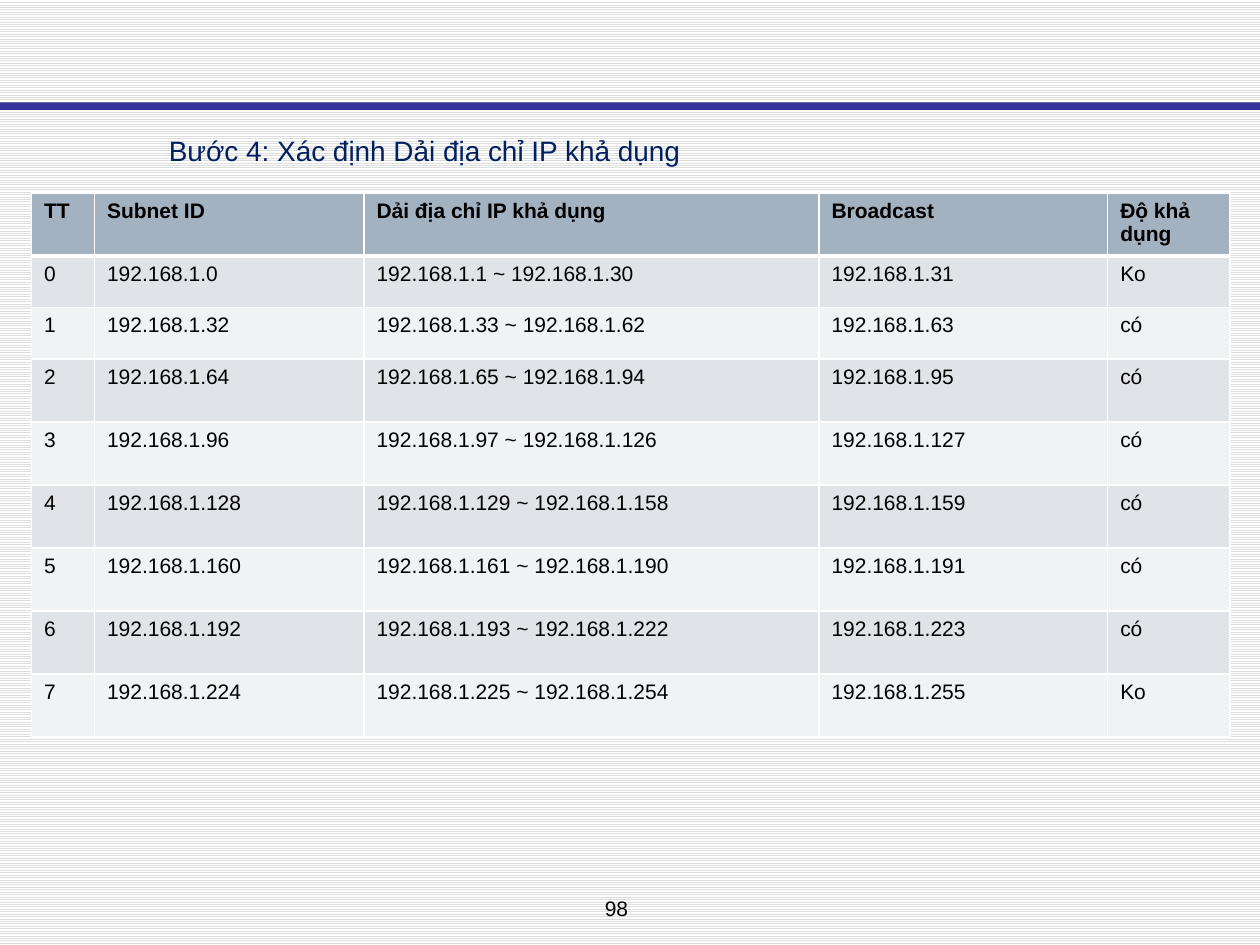
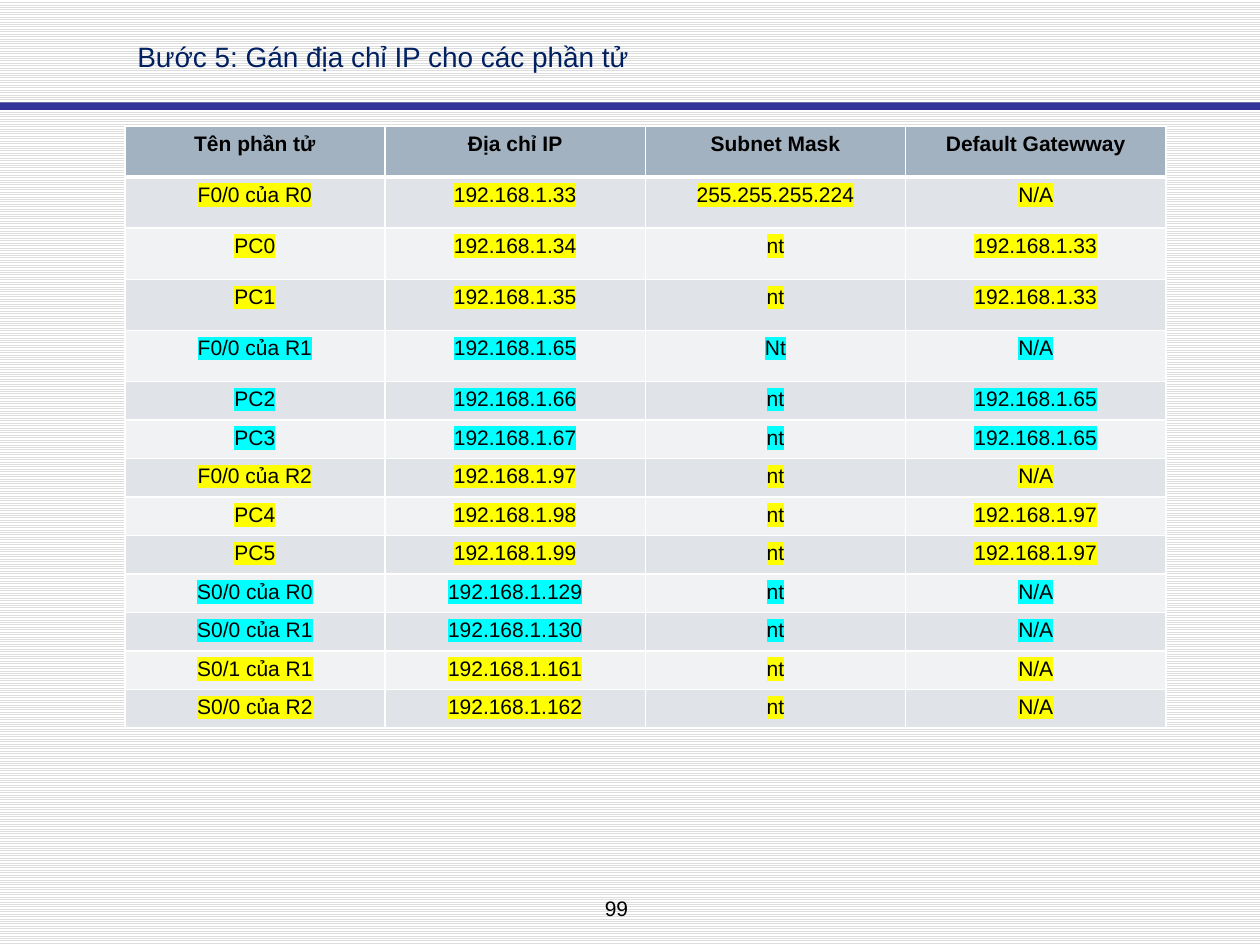
from lxml.etree import SubElement
from pptx import Presentation
from pptx.dml.color import RGBColor
from pptx.enum.dml import MSO_PATTERN
from pptx.enum.shapes import MSO_SHAPE as Shape
from pptx.enum.text import MSO_ANCHOR as Anchor, MSO_AUTO_SIZE as AutoSize, PP_ALIGN as Align
from pptx.oxml.ns import qn
from pptx.util import Pt

# Shared look
FONT = "Arial"
BLACK, WHITE, NAVY, BAND = "000000", "FFFFFF", "002060", "333399"
STRIPE = "DDDDDD"
HEADER_FILL = "A3B2C1"
ROW_FILLS = ("E0E4E9", "F0F2F4")
YELLOW, CYAN = "FFFF00", "00FFFF"
TITLE_ONLY = 5

NETWORK = "192.168.1."
SUBNET_SIZE = 32

SUBNET_HEADER = ["TT", "Subnet ID", "Dải địa chỉ IP khả dụng", "Broadcast", "Độ khả dụng"]

DEVICE_HEADER = ["Tên phần tử", "Địa chỉ IP", "Subnet Mask", "Default Gatewway"]
# Each subnet: highlight, then (device, host, mask, gateway host)
DEVICE_GROUPS = [
    (YELLOW, [("F0/0 của R0", 33, "255.255.255.224", None), ("PC0", 34, "nt", 33), ("PC1", 35, "nt", 33)]),
    (CYAN, [("F0/0 của R1", 65, "Nt", None), ("PC2", 66, "nt", 65), ("PC3", 67, "nt", 65)]),
    (YELLOW, [("F0/0 của R2", 97, "nt", None), ("PC4", 98, "nt", 97), ("PC5", 99, "nt", 97)]),
    (CYAN, [("S0/0 của R0", 129, "nt", None), ("S0/0 của R1", 130, "nt", None)]),
    (YELLOW, [("S0/1 của R1", 161, "nt", None), ("S0/0 của R2", 162, "nt", None)]),
]


def rgb(value):
    return RGBColor.from_string(value)


def ip(host):
    return f"{NETWORK}{host}"


def style_paragraph(paragraph, size, color, bold=False, align=Align.LEFT):
    paragraph.alignment = align
    font = paragraph.font
    font.name, font.size, font.bold = FONT, Pt(size), bold
    font.color.rgb = rgb(color)


def stripe_background(prs):
    fill = prs.slide_master.background.fill
    fill.patterned()
    fill.pattern = MSO_PATTERN.LIGHT_HORIZONTAL
    fill.fore_color.rgb = rgb(STRIPE)
    fill.back_color.rgb = rgb(WHITE)


def add_slide(prs, title, title_left, title_top, number):
    slide = prs.slides.add_slide(prs.slide_layouts[TITLE_ONLY])

    # Band under the heading area
    band = slide.shapes.add_shape(Shape.RECTANGLE, 0, Pt(58.5), prs.slide_width, Pt(4.3))
    band.shadow.inherit = False
    band.fill.solid()
    band.fill.fore_color.rgb = rgb(BAND)
    band.line.fill.background()

    # Step title
    heading = slide.shapes.title
    heading.left, heading.top = Pt(title_left), Pt(title_top)
    heading.width, heading.height = Pt(613), Pt(36)
    frame = heading.text_frame
    frame.text = title
    frame.auto_size, frame.vertical_anchor = AutoSize.NONE, Anchor.TOP
    style_paragraph(frame.paragraphs[0], 16, NAVY)
    frame.paragraphs[0].line_spacing = 1.35

    # Page number
    footer = slide.shapes.add_textbox(Pt(294), Pt(508.3), Pt(116.6), Pt(21.6)).text_frame
    footer.word_wrap = True
    footer.text = str(number)
    style_paragraph(footer.paragraphs[0], 12, BLACK, align=Align.CENTER)
    return slide


def set_borders(cell, top, bottom):
    properties = cell._tc.get_or_add_tcPr()
    for side, width in (("L", 1), ("R", 1), ("T", top), ("B", bottom)):
        line = SubElement(properties, qn(f"a:ln{side}"), w=str(Pt(width)))
        SubElement(SubElement(line, qn("a:solidFill")), qn("a:srgbClr"), val=WHITE)


def highlight(run, color):
    mark = SubElement(run._r.get_or_add_rPr(), qn("a:highlight"))
    SubElement(mark, qn("a:srgbClr"), val=color)


def add_grid(slide, left, top, widths, heights, rows, align=Align.LEFT, highlights=None):
    """Draw a table whose first row is the header; highlights has one colour per body row."""
    frame = slide.shapes.add_table(len(rows), len(widths), Pt(left), Pt(top),
                                   Pt(sum(widths)), Pt(sum(heights)))
    table = frame.table
    table.first_row = table.horz_banding = False
    for column, width in zip(table.columns, widths):
        column.width = Pt(width)
    for r, (values, height) in enumerate(zip(rows, heights)):
        is_header = r == 0
        table.rows[r].height = Pt(height)
        for c, value in enumerate(values):
            cell = table.cell(r, c)
            cell.text = value
            paragraph = cell.text_frame.paragraphs[0]
            style_paragraph(paragraph, 12, BLACK, is_header, align)
            if highlights and not is_header:
                highlight(paragraph.runs[0], highlights[r - 1])
            set_borders(cell, top=3 if r == 1 else 1, bottom=3 if is_header else 1)
            cell.fill.solid()
            cell.fill.fore_color.rgb = rgb(HEADER_FILL if is_header else ROW_FILLS[(r - 1) % 2])


def subnet_rows():
    """Split the network into equal subnets; the first and last are not usable."""
    count = 256 // SUBNET_SIZE
    rows = []
    for n in range(count):
        first = n * SUBNET_SIZE
        last = first + SUBNET_SIZE - 1
        usable = "Ko" if n in (0, count - 1) else "có"
        rows.append([str(n), ip(first), f"{ip(first + 1)} ~ {ip(last - 1)}", ip(last), usable])
    return rows


def device_rows():
    rows, colors = [], []
    for color, devices in DEVICE_GROUPS:
        for name, host, mask, gateway in devices:
            rows.append([name, ip(host), mask, ip(gateway) if gateway else "N/A"])
            colors.append(color)
    return rows, colors


def main():
    prs = Presentation()
    prs.slide_width, prs.slide_height = Pt(720), Pt(540)
    stripe_background(prs)

    # Step 4: usable address ranges
    ranges = add_slide(prs, "Bước 4: Xác định Dải địa chỉ IP khả dụng", 89.3, 66.2, 98)
    add_grid(ranges, 18, 110.2, [36, 154, 260, 165, 70], [35] + [29.5] * 2 + [36] * 6,
             [SUBNET_HEADER] + subnet_rows())

    # Step 5: addresses of the devices
    assignment = add_slide(prs, "Bước 5: Gán địa chỉ IP cho các phần tử", 71.3, 12.2, 99)
    devices, colors = device_rows()
    add_grid(assignment, 71.3, 72, [148.75] * 4, [29.2] * 5 + [22] * 9,
             [DEVICE_HEADER] + devices, Align.CENTER, colors)

    prs.save("out.pptx")


if __name__ == "__main__":
    main()
